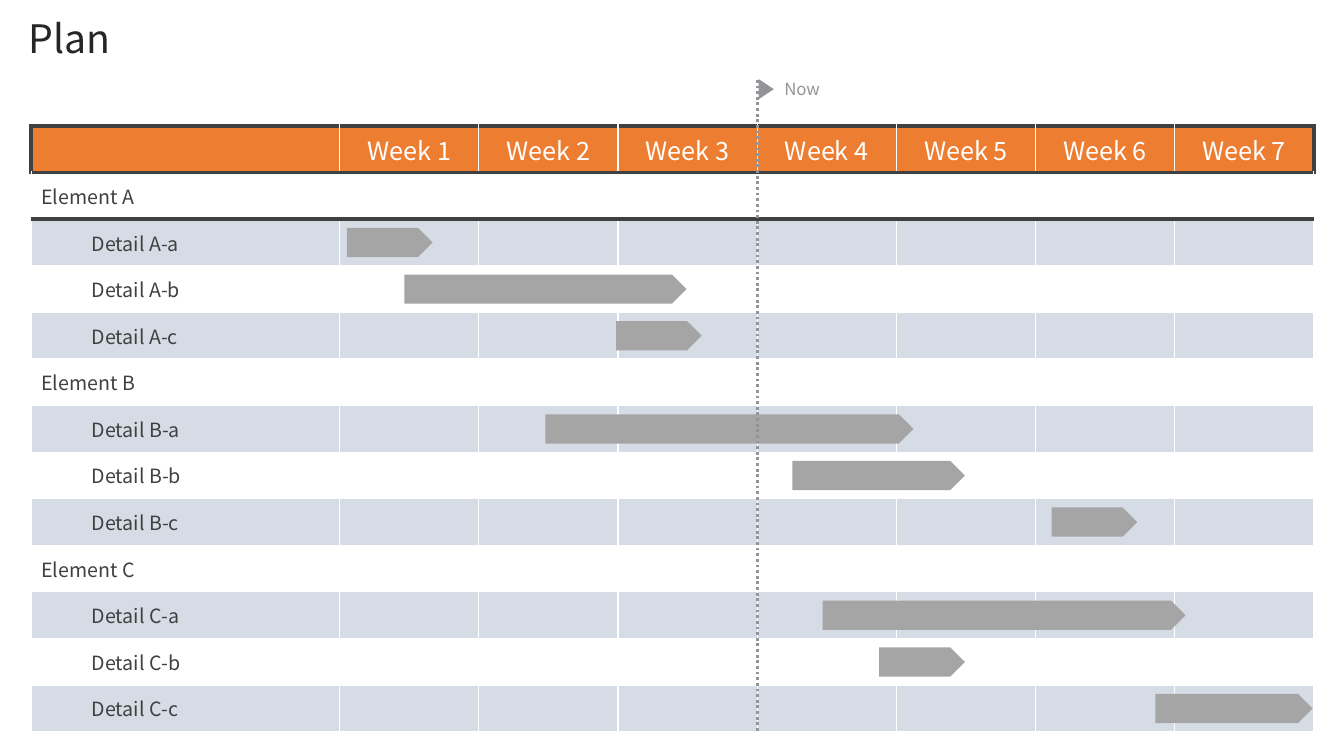
from lxml import etree
from pptx import Presentation
from pptx import util as u
from pptx.dml.color import RGBColor
from pptx.enum import dml, shapes, text
from pptx.oxml import ns

FONT = "Noto Sans CJK KR"
COLORS = {
    "title": "262626",
    "dark": "404040",
    "white": "FFFFFF",
    "header": "ED7D31",
    "band": "D6DCE5",
    "bar": "A5A5A5",
    "now": "949398",
}
LEFT, TOP, WIDTH, HEIGHT = 0.31, 1.25, 12.72, 6.01
LABEL_WIDTH, WEEK_WIDTH, WEEKS = 3.06, 1.38, 7
BAR_HEIGHT = 0.29
NOW_X = 7.51
PLAN = {
    "A": {"a": (3.44, 0.85), "b": (4.01, 2.8), "c": (6.11, 0.85)},
    "B": {"a": (5.41, 3.65), "b": (7.86, 1.71), "c": (10.43, 0.85)},
    "C": {"a": (8.16, 3.6), "b": (8.72, 0.85), "c": (11.46, 1.56)},
}


def rgb(name):
    return RGBColor.from_string(COLORS[name])


def write(tf, content, size, color, align=text.PP_ALIGN.LEFT, level=0, spacing=None):
    p = tf.paragraphs[0]
    p.alignment = align
    p.line_spacing = spacing
    if level:
        p.level = level
        pPr = p._p.get_or_add_pPr()
        pPr.set("marL", str(u.Inches(0.5 * level)))
        pPr.set("indent", "0")
    r = p.add_run()
    r.text = content
    r.font.name = FONT
    r.font.size = u.Pt(size)
    r.font.color.rgb = rgb(color)


def add_title(s, content):
    sp = s.shapes.title
    sp.left, sp.top = u.Inches(0), u.Inches(0)
    sp.width, sp.height = u.Inches(13.33), u.Inches(0.81)
    tf = sp.text_frame
    tf.margin_left = tf.margin_right = u.Inches(0.28)
    tf.vertical_anchor = text.MSO_ANCHOR.MIDDLE
    write(tf, content, 28, "title", spacing=0.9)


def set_borders(cell, dark_sides):
    tcPr = cell._tc.get_or_add_tcPr()
    for i, side in enumerate("LRTB"):
        dark = side in dark_sides
        ln = etree.Element(ns.qn(f"a:ln{side}"), w=str(u.Pt(3 if dark else 1)))
        fill = etree.SubElement(ln, ns.qn("a:solidFill"))
        etree.SubElement(fill, ns.qn("a:srgbClr"), val=COLORS["dark" if dark else "white"])
        tcPr.insert(i, ln)


def dark_sides(row, col):
    if row == 0:
        return "TB" + ("L" if col == 0 else "") + ("R" if col == WEEKS else "")
    return {1: "TB", 2: "T"}.get(row, "")


def add_table(s, labels):
    rows = len(labels) + 1
    frame = s.shapes.add_table(
        rows, WEEKS + 1, u.Inches(LEFT), u.Inches(TOP), u.Inches(WIDTH), u.Inches(HEIGHT))
    table = frame.table
    table.first_row = table.horz_banding = False
    for col, column in enumerate(table.columns):
        column.width = u.Inches(WEEK_WIDTH if col else LABEL_WIDTH)
    for row in range(rows):
        table.rows[row].height = u.Inches(HEIGHT / rows)
        for col in range(WEEKS + 1):
            cell = table.cell(row, col)
            if row % 2:
                cell.fill.background()
            else:
                cell.fill.solid()
                cell.fill.fore_color.rgb = rgb("band" if row else "header")
            set_borders(cell, dark_sides(row, col))
    for week in range(1, WEEKS + 1):
        write(table.cell(0, week).text_frame, f"Week {week}", 18, "white",
              align=text.PP_ALIGN.CENTER)
    for row, (label, level) in enumerate(labels, 1):
        cell = table.cell(row, 0)
        cell.vertical_anchor = text.MSO_ANCHOR.MIDDLE
        write(cell.text_frame, label, 14, "dark", level=level)


def add_solid(s, kind, left, top, width, height, color):
    sp = s.shapes.add_shape(
        kind, u.Inches(left), u.Inches(top), u.Inches(width), u.Inches(height))
    sp.shadow.inherit = False
    sp.fill.solid()
    sp.fill.fore_color.rgb = rgb(color)
    sp.line.fill.background()
    return sp


def add_bar(s, left, width, row, row_height):
    top = TOP + row * row_height + (row_height - BAR_HEIGHT) / 2
    sp = add_solid(s, shapes.MSO_SHAPE.RIGHT_ARROW, left, top, width, BAR_HEIGHT, "bar")
    sp.adjustments[0] = 1
    sp.adjustments[1] = 0.5


def add_now_marker(s):
    flag = add_solid(s, shapes.MSO_SHAPE.ISOSCELES_TRIANGLE, 7.5, 0.81, 0.2, 0.15, "now")
    flag.rotation = 90
    label = s.shapes.add_textbox(
        u.Inches(7.68), u.Inches(0.73), u.Inches(0.61), u.Inches(0.3))
    label.text_frame.word_wrap = True
    label.text_frame.auto_size = text.MSO_AUTO_SIZE.SHAPE_TO_FIT_TEXT
    write(label.text_frame, "Now", 12, "now")
    line = s.shapes.add_connector(
        shapes.MSO_CONNECTOR.STRAIGHT,
        u.Inches(NOW_X), u.Inches(7.25), u.Inches(NOW_X), u.Inches(0.78))
    line.line.color.rgb = rgb("now")
    line.line.width = u.Pt(2)
    line.line.dash_style = dml.MSO_LINE.ROUND_DOT
    etree.SubElement(line._element.spPr, ns.qn("a:effectLst"))


def main():
    prs = Presentation()
    prs.slide_width, prs.slide_height = u.Inches(13.33), u.Inches(7.5)
    s = prs.slides.add_slide(prs.slide_layouts[5])
    add_title(s, "Plan")
    labels, bars = [], []
    for element, details in PLAN.items():
        labels.append((f"Element {element}", 0))
        for detail, (left, width) in details.items():
            labels.append((f"Detail {element}-{detail}", 1))
            bars.append((left, width, len(labels)))
    add_table(s, labels)
    for left, width, row in bars:
        add_bar(s, left, width, row, HEIGHT / (len(labels) + 1))
    add_now_marker(s)
    prs.save("out.pptx")


if __name__ == "__main__":
    main()
